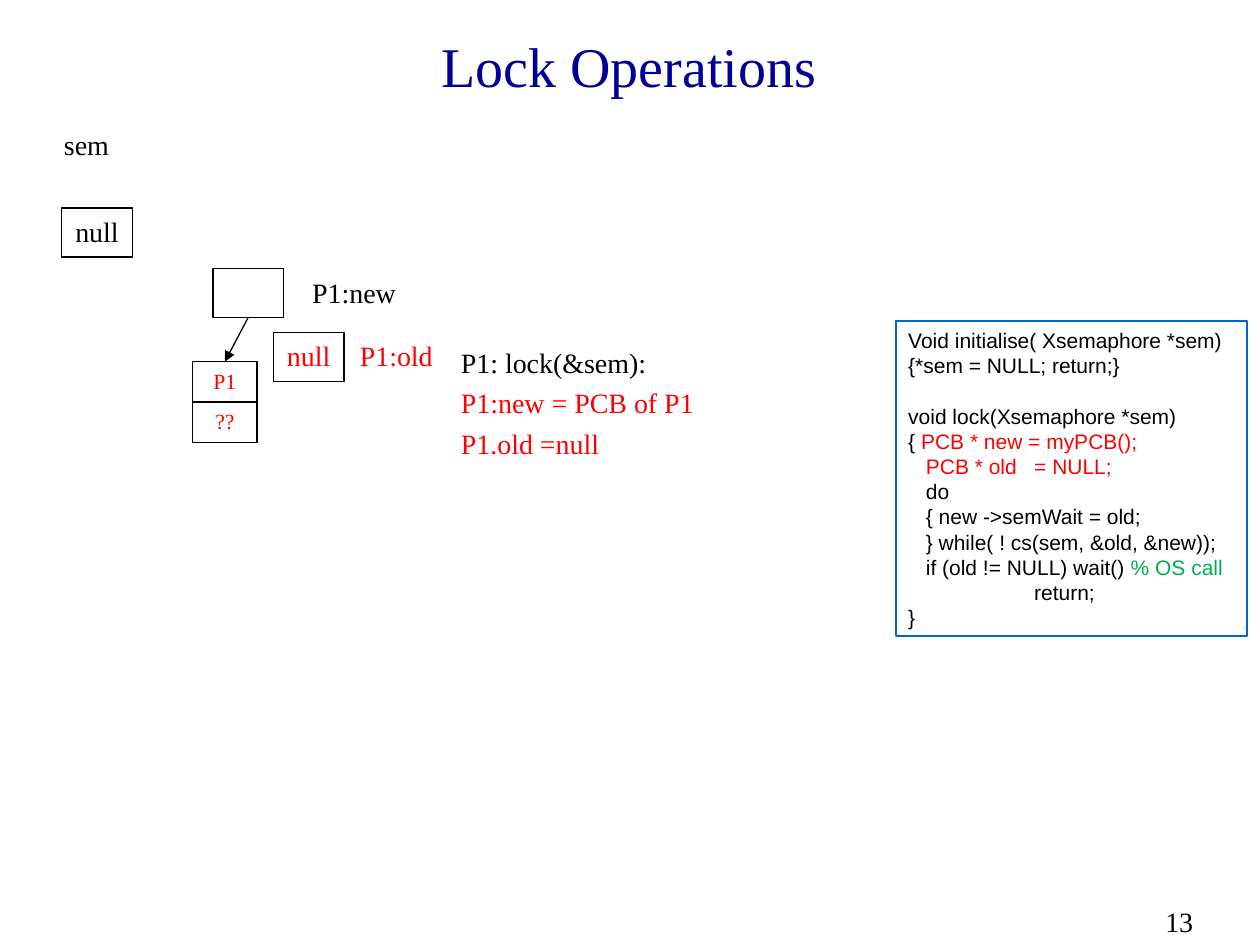
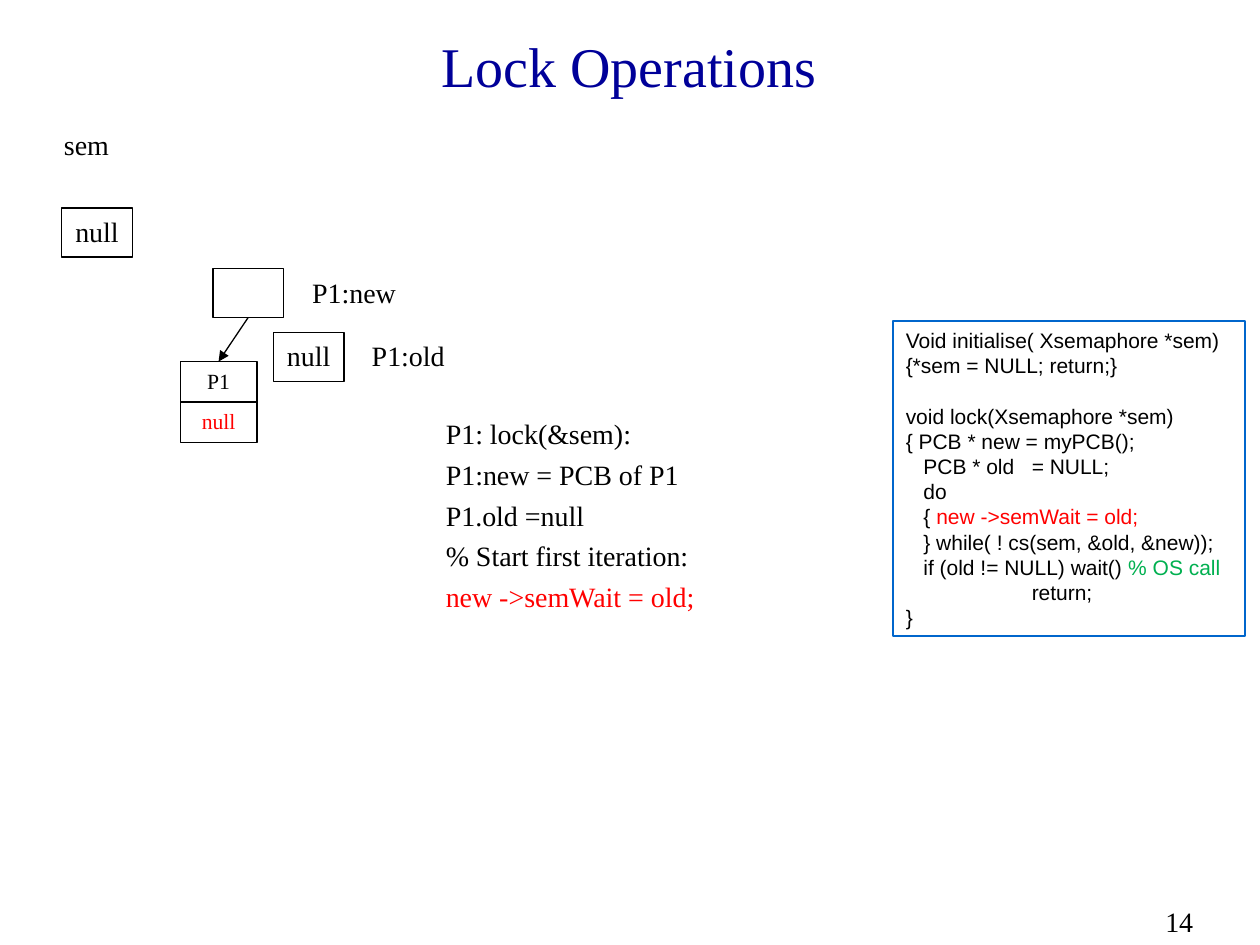
import collections

import pptx
import pptx.dml.color
import pptx.enum.shapes
import pptx.enum.text
import pptx.oxml
import pptx.oxml.ns
import pptx.util

COLUMNS, ROWS = 100, 75
BLACK, WHITE, RED, GREEN = "000000", "FFFFFF", "FF0000", "00B050"
NAVY, BLUE = "000099", "0066CC"
SERIF, SANS = "Times New Roman", "Arial"
TITLE_SIZE, BODY_SIZE, NODE_SIZE, CODE_SIZE = 32, 16, 12.4, 12
LINE_HEIGHT = 1.2
CELL_WIDTH, CELL_HEIGHT = 5.6, 3.9
NODE_HEIGHT = 3.2
TAB_COLUMN = 10

PP_ALIGN = pptx.enum.text.PP_ALIGN
Line = collections.namedtuple("Line", "text indent gap", defaults=(0, 0))

CODE = [
    Line("Void initialise( Xsemaphore *sem)"),
    Line("{*sem = NULL; return;}"),
    Line("void lock(Xsemaphore *sem)", gap=CODE_SIZE * LINE_HEIGHT),
    Line("{ PCB * new = myPCB();"),
    Line("PCB * old\t= NULL;", 1.4),
    Line("do", 1.4),
    Line("{ new ->semWait = old;", 1.4),
    Line("} while( ! cs(sem, &old, &new));", 1.4),
    Line("if (old != NULL) wait() % OS call", 1.4),
    Line("return;", TAB_COLUMN),
    Line("}"),
]
TRACE = [
    "P1: lock(&sem):",
    "P1:new = PCB of P1",
    "P1.old =null",
    "% Start first iteration:",
    "new ->semWait = old;",
]


def rgb(color):
    return pptx.dml.color.RGBColor.from_string(color)


class Deck:
    """Holds the presentation, the current slide and the shared style."""

    def __init__(self):
        self.presentation = pptx.Presentation()
        self.presentation.slide_width = pptx.util.Inches(10)
        self.presentation.slide_height = pptx.util.Inches(7.5)
        self.slide = None
        self.emphasis = {}

    def across(self, columns):
        return round(self.presentation.slide_width * columns / COLUMNS)

    def down(self, rows):
        return round(self.presentation.slide_height * rows / ROWS)

    def area(self, left, top, width, height):
        return self.across(left), self.down(top), self.across(width), self.down(height)

    def add_slide(self, title, number, highlighted):
        """Start a slide whose highlighted fragments are shown in red."""
        self.slide = self.presentation.slides.add_slide(
            self.presentation.slide_layouts[5])
        self.emphasis = {"% OS call": GREEN, **dict.fromkeys(highlighted, RED)}
        shape = self.slide.shapes.title
        shape.left, shape.top, shape.width, shape.height = self.area(7.4, 1.7, 85, 6.9)
        shape.text_frame.vertical_anchor = pptx.enum.text.MSO_ANCHOR.MIDDLE
        self.set_lines(shape, [Line(title)], TITLE_SIZE, NAVY, align=PP_ALIGN.CENTER)
        self.text(91.5, 71.3, 8.5, 3.7, [str(number)])

    def set_lines(self, shape, lines, size, color=BLACK, font=SERIF, align=PP_ALIGN.LEFT):
        frame = shape.text_frame
        frame.word_wrap = True
        for index, line in enumerate(lines):
            paragraph = frame.paragraphs[0] if index == 0 else frame.add_paragraph()
            self.set_indent(paragraph, line)
            paragraph.alignment = align
            paragraph.line_spacing = pptx.util.Pt(size * LINE_HEIGHT)
            paragraph.space_before = pptx.util.Pt(line.gap)
            paragraph.font.name = font
            paragraph.font.size = pptx.util.Pt(size)
            paragraph.font.color.rgb = rgb(color)
            self.add_runs(paragraph, line.text)

    def set_indent(self, paragraph, line):
        properties = paragraph._p.get_or_add_pPr()
        properties.set("marL", "0")
        properties.set("indent", str(self.across(line.indent)))
        if "\t" in line.text:
            properties.append(pptx.oxml.parse_xml(
                f'<a:tabLst {pptx.oxml.ns.nsdecls("a")}>'
                f'<a:tab pos="{self.across(TAB_COLUMN)}" algn="l"/></a:tabLst>'))

    def add_runs(self, paragraph, text):
        """Add the text, giving its emphasised fragment a colour of its own."""
        fragment = next((part for part in self.emphasis if part in text), None)
        if fragment is None:
            paragraph.add_run().text = text
            return
        for part in text.partition(fragment):
            if part:
                run = paragraph.add_run()
                run.text = part
                if part == fragment:
                    run.font.color.rgb = rgb(self.emphasis[fragment])

    def text(self, left, top, width, height, texts):
        shape = self.slide.shapes.add_textbox(*self.area(left, top, width, height))
        self.set_lines(shape, [Line(text, gap=4) for text in texts], BODY_SIZE)

    def rectangle(self, left, top, width, height, fill=WHITE, line=BLACK, weight=0.75):
        shape = self.slide.shapes.add_shape(
            pptx.enum.shapes.MSO_SHAPE.RECTANGLE, *self.area(left, top, width, height))
        shape.shadow.inherit = False
        if fill:
            shape.fill.solid()
            shape.fill.fore_color.rgb = rgb(fill)
        else:
            shape.fill.background()
        if line:
            shape.line.color.rgb = rgb(line)
            shape.line.width = pptx.util.Pt(weight)
        else:
            shape.line.fill.background()
        shape.text_frame.vertical_anchor = pptx.enum.text.MSO_ANCHOR.TOP
        return shape

    def cell(self, left, top, text="", color=BLACK, width=CELL_WIDTH,
             height=CELL_HEIGHT, size=BODY_SIZE, line=BLACK):
        shape = self.rectangle(left, top, width, height, line=line)
        if text:
            self.set_lines(shape, [Line(text, gap=4)], size, color, align=PP_ALIGN.CENTER)
        return shape

    def label(self, left, top, text, color=BLACK, width=9.8):
        self.cell(left, top, text, color, width, line=None)

    def control_block(self, left, width, values):
        """Stack (text, colour) fields and return the top one."""
        fields = [self.cell(left, 28.7 + row * NODE_HEIGHT, text, color, width,
                            NODE_HEIGHT, NODE_SIZE)
                  for row, (text, color) in enumerate(values)]
        return fields[0]

    def code(self, left):
        shape = self.rectangle(left, 25.5, 27.9, 25, fill=None, line=BLUE, weight=1)
        self.set_lines(shape, CODE, CODE_SIZE, font=SANS)

    def arrow(self, source, target):
        connector = self.slide.shapes.add_connector(
            pptx.enum.shapes.MSO_CONNECTOR.STRAIGHT, 0, 0, 0, 0)
        connector.begin_connect(source, 2)
        connector.end_connect(target, 0)
        connector.line.color.rgb = rgb(BLACK)
        connector.line.width = pptx.util.Pt(0.75)
        namespace = pptx.oxml.ns.nsdecls("a")
        properties = connector._element.spPr
        properties.find(pptx.oxml.ns.qn("a:ln")).append(
            pptx.oxml.parse_xml(f'<a:tailEnd {namespace} type="triangle"/>'))
        properties.append(pptx.oxml.parse_xml(f"<a:effectLst {namespace}/>"))


def add_lock_step(deck, number, highlighted, block, trace, code_left, old_color, old_width):
    """Draw one step of the lock call; block and trace are argument tuples."""
    deck.add_slide("Lock Operations", number, highlighted)
    deck.text(4.1, 9.6, 19.4, 3.7, ["sem"])
    deck.cell(4.9, 16.5, "null")
    first_field = deck.control_block(*block)
    deck.text(*trace)
    deck.code(code_left)
    new_pointer = deck.cell(16.9, 21.3)
    deck.label(23.2, 21.4, "P1:new")
    deck.arrow(new_pointer, first_field)
    deck.cell(21.7, 26.4, "null", old_color)
    deck.label(27.5, 26.4, "P1:old", old_color, old_width)


def main():
    deck = Deck()
    add_lock_step(
        deck, 13,
        ["PCB * new = myPCB();", "PCB * old\t= NULL;", *TRACE[1:3]],
        block=(15.3, 5.1, [("P1", RED), ("??", RED)]),
        trace=(35.6, 26.9, 35.4, 10.1, TRACE[:3]),
        code_left=71.1, old_color=RED, old_width=7.9)
    add_lock_step(
        deck, 14,
        TRACE[4:],
        block=(14.3, 6.1, [("P1", BLACK), ("null", RED)]),
        trace=(34.4, 32.6, 35.4, 19.8, TRACE),
        code_left=70.9, old_color=BLACK, old_width=9.8)
    deck.presentation.save("out.pptx")


if __name__ == "__main__":
    main()
